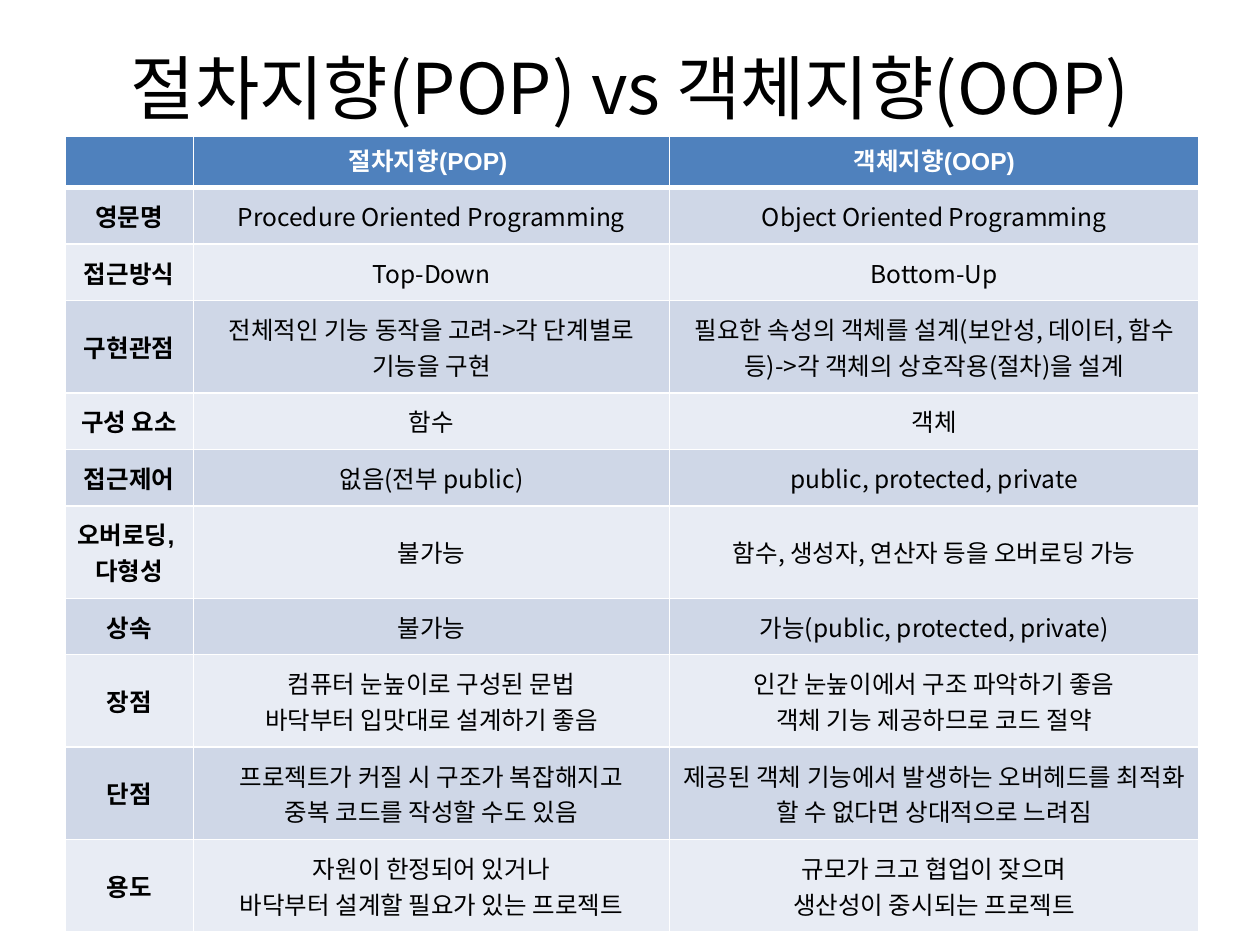
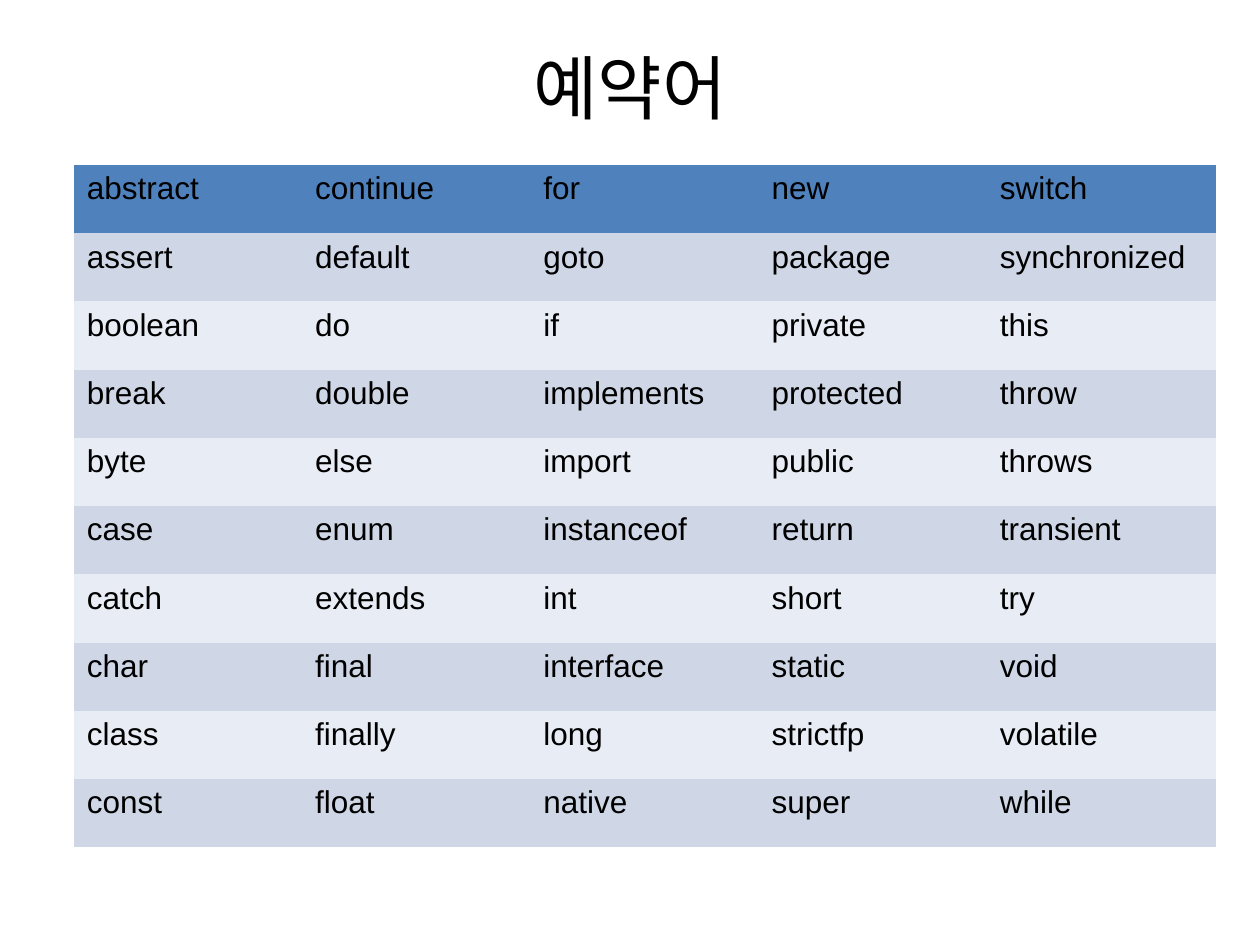
import dataclasses
import typing

import lxml.etree
import pptx
import pptx.dml.color
import pptx.enum.text
import pptx.oxml.ns
import pptx.slide
import pptx.table
import pptx.text.text
import pptx.util

ALIGN = pptx.enum.text.PP_ALIGN
ANCHOR = pptx.enum.text.MSO_ANCHOR
EMU_PER_PX = 1524  # 600 px to the inch
PLAIN_TABLE_STYLE = "{2D5ABB26-0587-4C30-8999-92F81FD0307C}"


@dataclasses.dataclass(frozen=True)
class Theme:
    black: str = "000000"
    white: str = "FFFFFF"
    header: str = "4F81BD"
    bands: tuple[str, str] = ("CFD7E7", "E8ECF4")
    latin: str = "Arial"
    korean: str = "Noto Sans CJK KR"
    title_size: int = 40
    comparison_size: int = 14
    keyword_size: int = 18


THEME = Theme()


@dataclasses.dataclass(frozen=True)
class TextStyle:
    size: int
    font: str = THEME.korean
    color: str = THEME.black
    bold: bool = False
    align: ALIGN = ALIGN.CENTER


@dataclasses.dataclass(frozen=True)
class CellStyle:
    text: TextStyle
    anchor: ANCHOR = ANCHOR.TOP
    inset_x: int = 60
    inset_y: int = 30


@dataclasses.dataclass(frozen=True)
class Grid:
    left: int
    top: int
    columns: list[int]
    row_heights: list[int]
    rows: list[list[str]]
    style: typing.Callable[[int, int], CellStyle]
    ruled: bool = False


def px(length: int) -> pptx.util.Emu:
    return pptx.util.Emu(length * EMU_PER_PX)


def rgb(color: str) -> pptx.dml.color.RGBColor:
    return pptx.dml.color.RGBColor.from_string(color)


# Text
def style_text(frame: pptx.text.text.TextFrame, style: TextStyle) -> None:
    for para in frame.paragraphs:
        para.alignment = style.align
        font = para.font
        font.size = pptx.util.Pt(style.size)
        font.bold = style.bold
        font.name = style.font
        font.color.rgb = rgb(style.color)
        east_asian = lxml.etree.SubElement(font._rPr, pptx.oxml.ns.qn("a:ea"))
        east_asian.set("typeface", THEME.korean)


def add_title(page: pptx.slide.Slide, text: str) -> None:
    box = page.shapes.add_textbox(px(300), px(180), px(5400), px(462))
    frame = box.text_frame
    frame.word_wrap = True
    frame.vertical_anchor = ANCHOR.MIDDLE
    frame.text = text
    style_text(frame, TextStyle(THEME.title_size))


# Tables
def rule_cell(cell: pptx.table._Cell, row: int) -> None:
    """Draw white rules, thicker between the header and the body."""
    widths = {"lnL": 1, "lnR": 1,
              "lnT": 3 if row == 1 else 1, "lnB": 3 if row == 0 else 1}
    properties = cell._tc.get_or_add_tcPr()
    for position, (side, width) in enumerate(widths.items()):
        line = lxml.etree.Element(pptx.oxml.ns.qn(f"a:{side}"), w=str(pptx.util.Pt(width)))
        fill = lxml.etree.SubElement(line, pptx.oxml.ns.qn("a:solidFill"))
        lxml.etree.SubElement(fill, pptx.oxml.ns.qn("a:srgbClr"), val=THEME.white)
        properties.insert(position, line)


def fill_cell(cell: pptx.table._Cell, text: str, style: CellStyle, color: str) -> None:
    cell.text = text
    cell.vertical_anchor = style.anchor
    cell.margin_left = cell.margin_right = px(style.inset_x)
    cell.margin_top = cell.margin_bottom = px(style.inset_y)
    cell.fill.solid()
    cell.fill.fore_color.rgb = rgb(color)
    style_text(cell.text_frame, style.text)


def add_grid(page: pptx.slide.Slide, grid: Grid) -> None:
    table = page.shapes.add_table(
        len(grid.rows), len(grid.columns), px(grid.left), px(grid.top),
        px(sum(grid.columns)), px(sum(grid.row_heights))).table
    table._tbl.find(".//" + pptx.oxml.ns.qn("a:tableStyleId")).text = PLAIN_TABLE_STYLE
    table.first_row = table.horz_banding = False
    for column, width in zip(table.columns, grid.columns):
        column.width = px(width)
    for row, texts in enumerate(grid.rows):
        table.rows[row].height = px(grid.row_heights[row])
        color = THEME.bands[(row - 1) % 2] if row else THEME.header
        for column, text in enumerate(texts):
            cell = table.cell(row, column)
            fill_cell(cell, text, grid.style(row, column), color)
            if grid.ruled:
                rule_cell(cell, row)


# Slide 1: comparison of the two paradigms
COMPARISON = [
    ["", "절차지향(POP) ", "객체지향(OOP)"],
    ["영문명", "Procedure Oriented Programming", "Object Oriented Programming"],
    ["접근방식", "Top-Down", "Bottom-Up"],
    ["구현관점", "전체적인 기능 동작을 고려->각 단계별로 기능을 구현",
     "필요한 속성의 객체를 설계(보안성, 데이터, 함수 등)->각 객체의 상호작용(절차)을 설계"],
    ["구성 요소", "함수", "객체"],
    ["접근제어", "없음(전부 public)", "public, protected, private"],
    ["오버로딩, \n다형성", "불가능", "함수, 생성자, 연산자 등을 오버로딩 가능"],
    ["상속", "불가능", "가능(public, protected, private)"],
    ["장점", "컴퓨터 눈높이로 구성된 문법\n바닥부터 입맛대로 설계하기 좋음",
     "인간 눈높이에서 구조 파악하기 좋음\n객체 기능 제공하므로 코드 절약"],
    ["단점", "프로젝트가 커질 시 구조가 복잡해지고\n중복 코드를 작성할 수도 있음",
     "제공된 객체 기능에서 발생하는 오버헤드를 최적화 할 수 없다면 상대적으로 느려짐"],
    ["용도", "자원이 한정되어 있거나\n바닥부터 설계할 필요가 있는 프로젝트",
     "규모가 크고 협업이 잦으며\n생산성이 중시되는 프로젝트"],
]
HEADER_ROW, ONE_LINE, TWO_LINES = 246, 269, 440
COMPARISON_HEIGHTS = [
    HEADER_ROW, ONE_LINE, ONE_LINE, TWO_LINES, ONE_LINE, ONE_LINE,
    TWO_LINES, ONE_LINE, TWO_LINES, TWO_LINES, TWO_LINES,
]


def comparison_style(row: int, column: int) -> CellStyle:
    size = THEME.comparison_size
    if row == 0:
        return CellStyle(TextStyle(size, THEME.latin, THEME.white, bold=True))
    text = TextStyle(size) if column else TextStyle(size, THEME.latin, bold=True)
    return CellStyle(text, ANCHOR.MIDDLE, inset_x=48, inset_y=48)


# Slide 2: reserved words, read down each column
KEYWORDS = """
    abstract assert boolean break byte case catch char class const
    continue default do double else enum extends final finally float
    for goto if implements import instanceof int interface long native
    new package private protected public return short static strictfp super
    switch synchronized this throw throws transient try void volatile while
""".split()
KEYWORD_ROWS = 10


def keyword_style(row: int, column: int) -> CellStyle:
    return CellStyle(TextStyle(THEME.keyword_size, THEME.latin, align=ALIGN.LEFT))


PAGES = {
    "절차지향(POP) vs 객체지향(OOP)": Grid(
        309, 648, [612, 2268, 2520], COMPARISON_HEIGHTS,
        COMPARISON, comparison_style, ruled=True),
    "예약어": Grid(
        354, 786, [1087] * 5, [325] * KEYWORD_ROWS,
        [KEYWORDS[row::KEYWORD_ROWS] for row in range(KEYWORD_ROWS)], keyword_style),
}


def main() -> None:
    deck = pptx.Presentation()
    deck.slide_width, deck.slide_height = px(6000), px(4500)
    for title, grid in PAGES.items():
        page = deck.slides.add_slide(deck.slide_layouts[6])
        add_title(page, title)
        add_grid(page, grid)
    deck.save("out.pptx")


if __name__ == "__main__":
    main()
